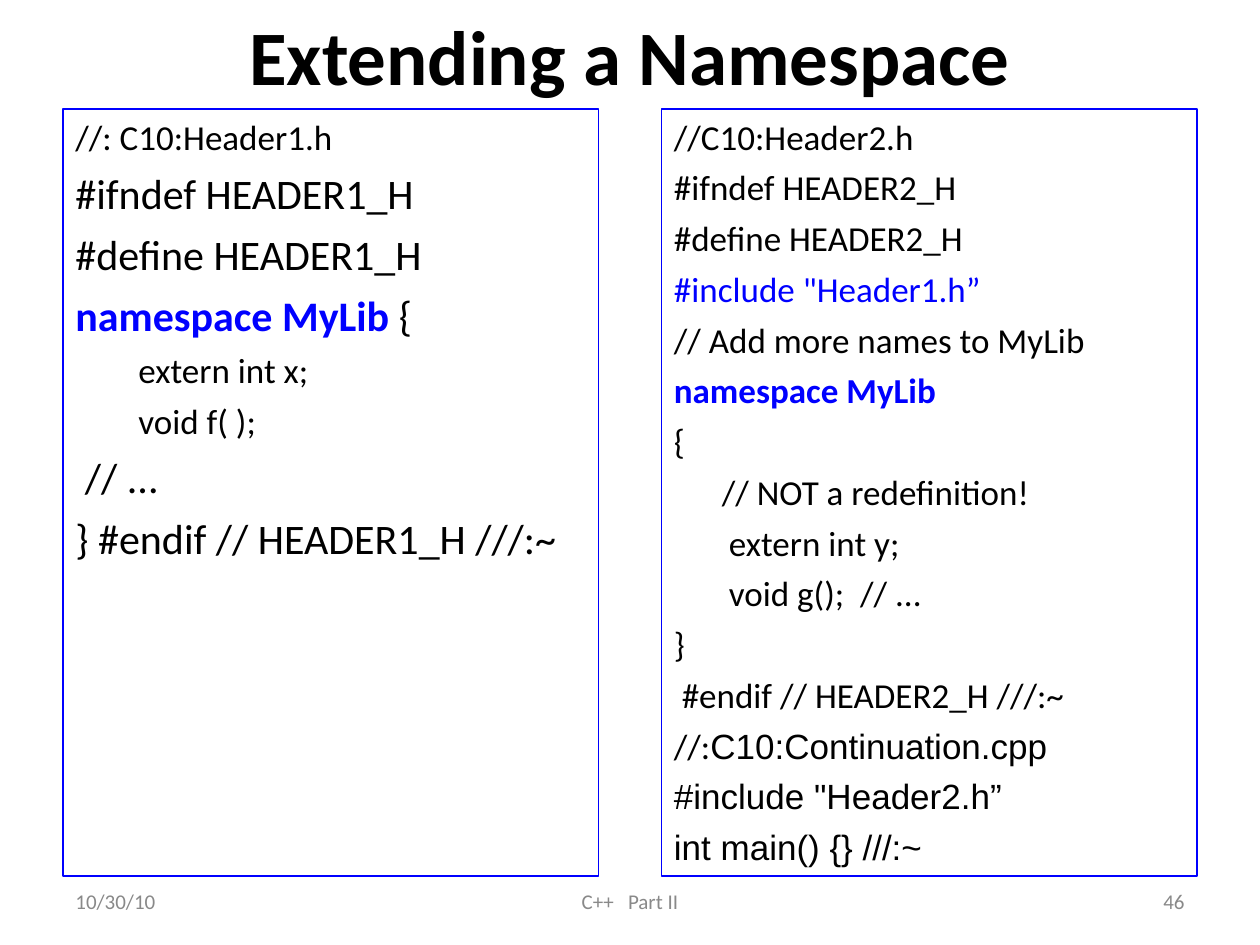
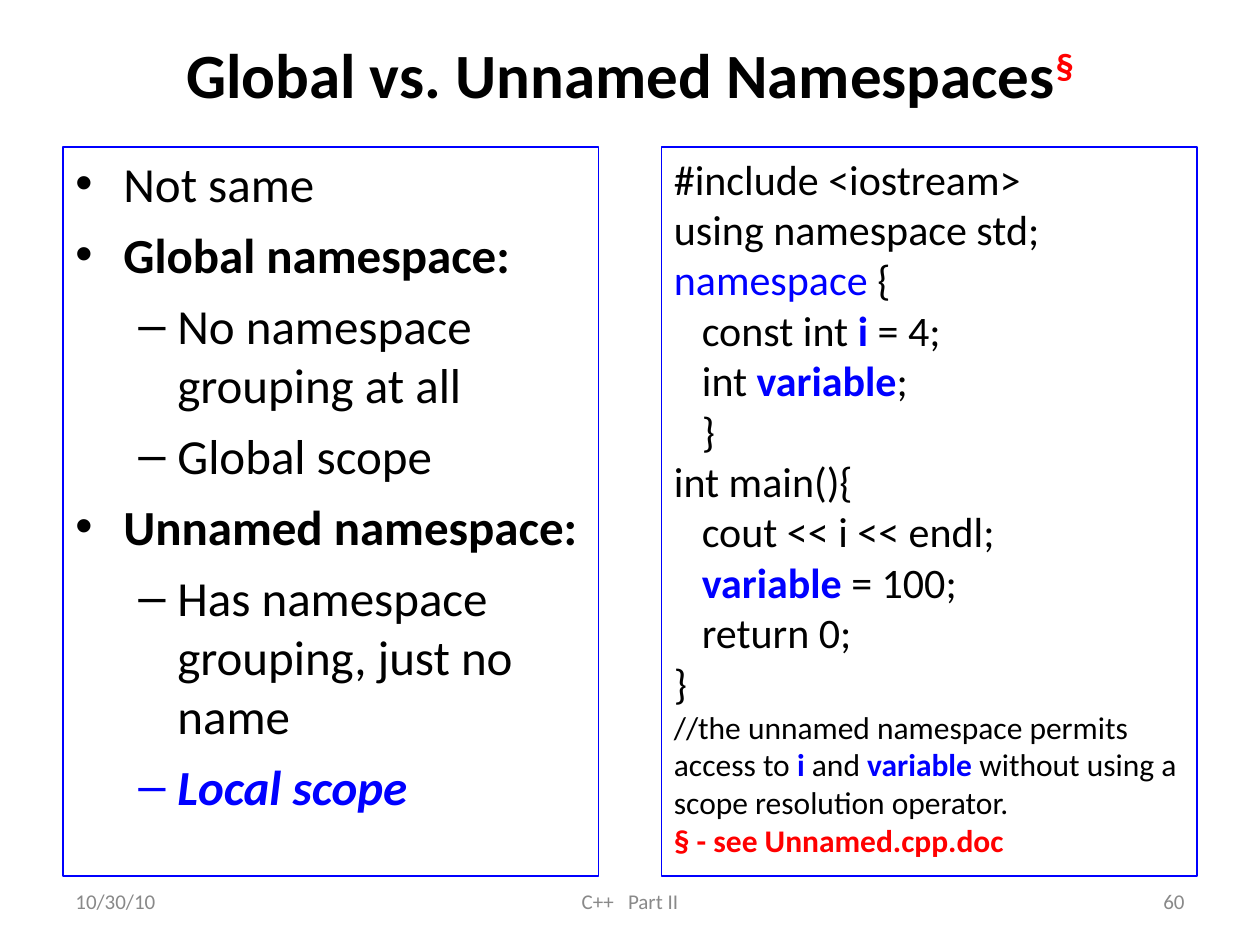
from dataclasses import dataclass

from lxml.etree import SubElement
from pptx import Presentation
from pptx.dml.color import RGBColor
from pptx.enum.shapes import MSO_SHAPE
from pptx.enum.text import MSO_ANCHOR, PP_ALIGN
from pptx.oxml.ns import qn
from pptx.util import Emu, Pt


@dataclass(frozen=True)
class Tone:
    """Look of one run of text."""
    color: str = "000000"
    bold: bool = False
    italic: bool = False
    font: str = "Calibri"
    baseline: int = 0


@dataclass(frozen=True)
class Line:
    """Look of one paragraph: points for size and gap, pixels for indents."""
    size: int
    gap: int = 0
    margin: int = 48
    hanging: int = 48
    level: int = 0
    bullet: str = ""


class Theme:
    """Colours, type sizes and paragraph looks shared by the slides."""
    border = "0000FF"
    border_width = 0.75
    tones = {
        "plain": Tone(),
        "strong": Tone(bold=True),
        "blue": Tone("0000FF"),
        "key": Tone("0000FF", bold=True),
        "local": Tone("0000FF", bold=True, italic=True),
        "note": Tone("FF0000", bold=True),
        "mark": Tone("FF0000", bold=True, baseline=30000),
        "arial": Tone(font="Arial"),
        "footer": Tone("898989"),
    }
    lines = {
        "title": Line(44, margin=0, hanging=0),
        "long title": Line(36, margin=0, hanging=0),
        "footer": Line(12, margin=0, hanging=0),
        "small code": Line(20, gap=5),
        "small body": Line(20, gap=5, hanging=0),
        "small member": Line(20, gap=5, margin=55, hanging=0),
        "code": Line(24, gap=6),
        "member": Line(20, gap=5, margin=102, hanging=39, level=1),
        "dense code": Line(24),
        "dense body": Line(24, margin=28, hanging=0),
        "remark": Line(18),
        "point": Line(28, gap=7, bullet="•"),
        "subpoint": Line(28, gap=7, margin=102, hanging=39, level=1, bullet="–"),
    }


# Content: each paragraph is (line look, run, run, ...); a run is text or (text, tone).
HEADER1 = [
    ("small code", "//: C10:Header1.h"),
    ("code", "#ifndef HEADER1_H"),
    ("code", "#define HEADER1_H"),
    ("code", ("namespace MyLib ", "key"), "{"),
    ("member", "extern int x;"),
    ("member", "void f( );"),
    ("code", " // ..."),
    ("code", "} #endif // HEADER1_H ///:~"),
]
HEADER2 = [
    ("small code", "//C10:Header2.h"),
    ("small code", "#ifndef HEADER2_H"),
    ("small code", "#define HEADER2_H"),
    ("small code", ('#include "Header1.h”', "blue")),
    ("small code", "// Add more names to MyLib"),
    ("small code", ("namespace MyLib", "key")),
    ("small code", "{"),
    ("small body", "// NOT a redefinition!"),
    ("small member", "extern int y;"),
    ("small member", "void g();  // ..."),
    ("small code", "}"),
    ("small code", " #endif // HEADER2_H ///:~"),
    ("small code", "//:", ("C10:Continuation.cpp", "arial")),
    ("small code", ('#include "Header2.h”', "arial")),
    ("small code", ("int main() {} ///:~", "arial")),
]
COMPARISON = [
    ("point", "Not same"),
    ("point", ("Global namespace:", "strong")),
    ("subpoint", "No namespace grouping at all"),
    ("subpoint", "Global scope"),
    ("point", ("Unnamed namespace:", "strong")),
    ("subpoint", "Has namespace grouping, just no name"),
    ("subpoint", ("Local scope", "local")),
]
UNNAMED_CODE = [
    ("dense code", "#include <iostream>"),
    ("dense code", "using namespace std;"),
    ("dense code", ("namespace ", "blue"), "{"),
    ("dense body", "const int", (" i ", "key"), "= 4;"),
    ("dense body", "int ", ("variable", "key"), ";"),
    ("dense body", "}"),
    ("dense code", "int main(){"),
    ("dense body", "cout << i << endl;"),
    ("dense body", ("variable ", "key"), "= 100;"),
    ("dense body", "return 0;"),
    ("dense code", "}"),
    ("remark", "//the unnamed namespace permits"),
    ("remark", "access to", (" i ", "key"), "and ", ("variable ", "key"), "without using a"),
    ("remark", "scope resolution operator."),
    ("remark", ("§ - see Unnamed.cpp.doc", "note")),
]
SLIDES = [
    {"title": ("title", ("Extending a Namespace", "strong")),
     "title_height": 109, "panels": (HEADER1, HEADER2), "number": "46"},
    {"title": ("long title", ("Global vs. Unnamed Namespaces", "strong"), ("§", "mark")),
     "title_height": 147, "panels": (COMPARISON, UNNAMED_CODE), "number": "60"},
]
DATE = "10/30/10"
COURSE = "C++   Part II"

# Layout, in pixels
SCALE = 914400 / 126
WIDTH, HEIGHT = 1260, 945
MARGIN = 63
CONTENT_WIDTH = WIDTH - 2 * MARGIN
PANEL_GAP = 63
PANEL_WIDTH = (CONTENT_WIDTH - PANEL_GAP) / 2
FOOTER_TOP, FOOTER_HEIGHT = 876, 50
SIDE_WIDTH, COURSE_WIDTH = 294, 399


def px(length):
    """Turn pixels into EMU."""
    return Emu(round(length * SCALE))


def format_run(run, size, tone):
    """Apply a type size and a tone to a run."""
    run.font.size = Pt(size)
    run.font.name = tone.font
    run.font.bold = tone.bold
    run.font.italic = tone.italic
    run.font.color.rgb = RGBColor.from_string(tone.color)
    if tone.baseline:
        run.font._element.set("baseline", str(tone.baseline))


def format_line(paragraph, line, bullet_color):
    """Apply level, spacing, indent and bullet to a paragraph."""
    paragraph.level = line.level
    paragraph.space_before = Pt(line.gap)
    properties = paragraph._p.get_or_add_pPr()
    properties.set("marL", str(px(line.margin)))
    properties.set("indent", str(-px(line.hanging)))
    if line.bullet:
        color = SubElement(properties, qn("a:buClr"))
        SubElement(color, qn("a:srgbClr"), val=bullet_color)
        SubElement(properties, qn("a:buFont"), typeface="Arial")
        SubElement(properties, qn("a:buChar"), char=line.bullet)


def write(shape, paragraphs, align=PP_ALIGN.LEFT, anchor=MSO_ANCHOR.TOP):
    """Fill a shape with formatted paragraphs."""
    frame = shape.text_frame
    frame.word_wrap = True
    frame.vertical_anchor = anchor
    for index, (look, *pieces) in enumerate(paragraphs):
        paragraph = frame.add_paragraph() if index else frame.paragraphs[0]
        paragraph.alignment = align
        line = Theme.lines[look]
        default = "footer" if look == "footer" else "plain"
        runs = [(piece, default) if isinstance(piece, str) else piece for piece in pieces]
        format_line(paragraph, line, Theme.tones[runs[0][1]].color)
        for text, tone in runs:
            run = paragraph.add_run()
            run.text = text
            format_run(run, line.size, Theme.tones[tone])


def add_label(slide, box, paragraph, align):
    """Add a vertically centred text box with one paragraph."""
    label = slide.shapes.add_textbox(*map(px, box))
    write(label, [paragraph], align, MSO_ANCHOR.MIDDLE)


def add_panel(slide, box, paragraphs):
    """Add a bordered panel of text."""
    panel = slide.shapes.add_shape(MSO_SHAPE.RECTANGLE, *map(px, box))
    panel.shadow.inherit = False
    panel.fill.background()
    panel.line.color.rgb = RGBColor.from_string(Theme.border)
    panel.line.width = Pt(Theme.border_width)
    write(panel, paragraphs)


def add_footer(slide, number):
    """Add the date, course name and slide number."""
    for text, left, width, align in (
        (DATE, MARGIN, SIDE_WIDTH, PP_ALIGN.LEFT),
        (COURSE, (WIDTH - COURSE_WIDTH) / 2, COURSE_WIDTH, PP_ALIGN.CENTER),
        (number, WIDTH - MARGIN - SIDE_WIDTH, SIDE_WIDTH, PP_ALIGN.RIGHT),
    ):
        add_label(slide, (left, FOOTER_TOP, width, FOOTER_HEIGHT), ("footer", text), align)


def build_slide(deck, content):
    """Add one slide: title, two panels and footer."""
    slide = deck.slides.add_slide(deck.slide_layouts[6])
    top = content["title_height"]
    add_label(slide, (MARGIN, 0, CONTENT_WIDTH, top), content["title"], PP_ALIGN.CENTER)
    for column, paragraphs in enumerate(content["panels"]):
        left = MARGIN + column * (PANEL_WIDTH + PANEL_GAP)
        add_panel(slide, (left, top, PANEL_WIDTH, FOOTER_TOP - top), paragraphs)
    add_footer(slide, content["number"])


deck = Presentation()
deck.slide_width, deck.slide_height = px(WIDTH), px(HEIGHT)
for content in SLIDES:
    build_slide(deck, content)
deck.save("out.pptx")
